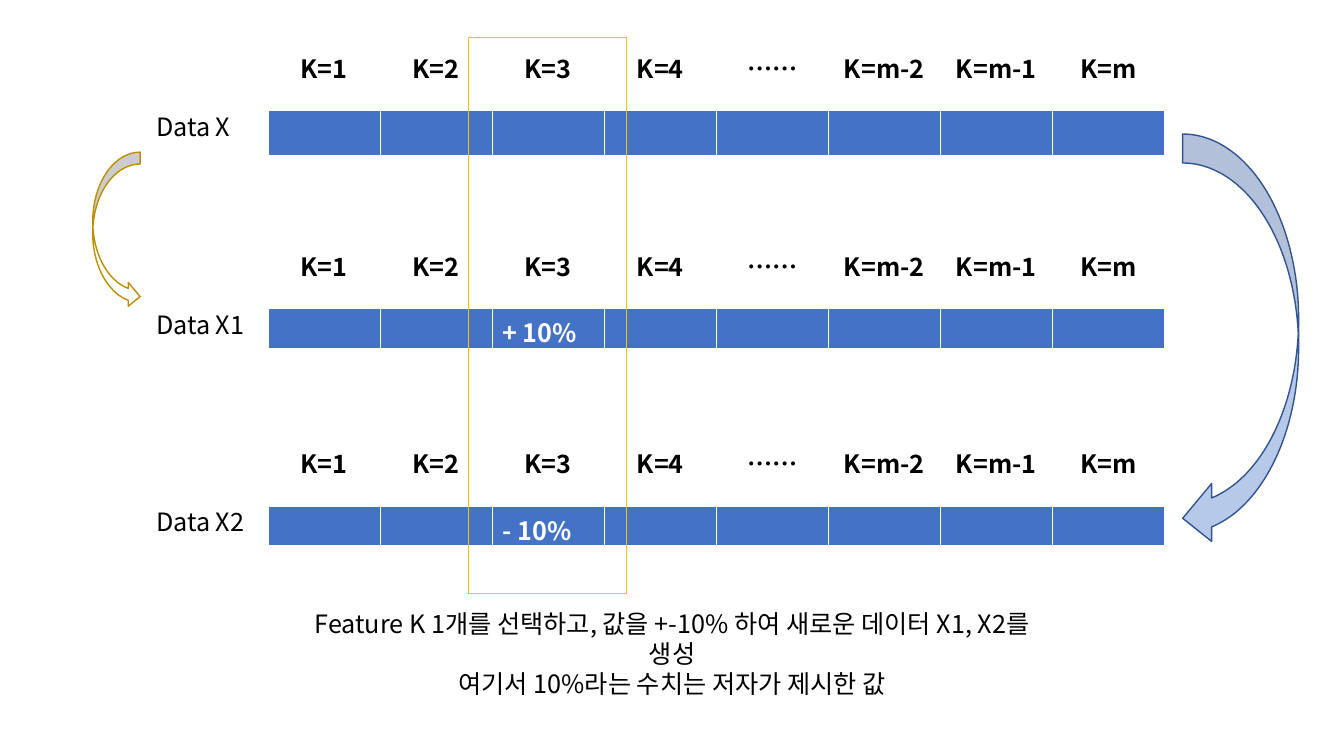
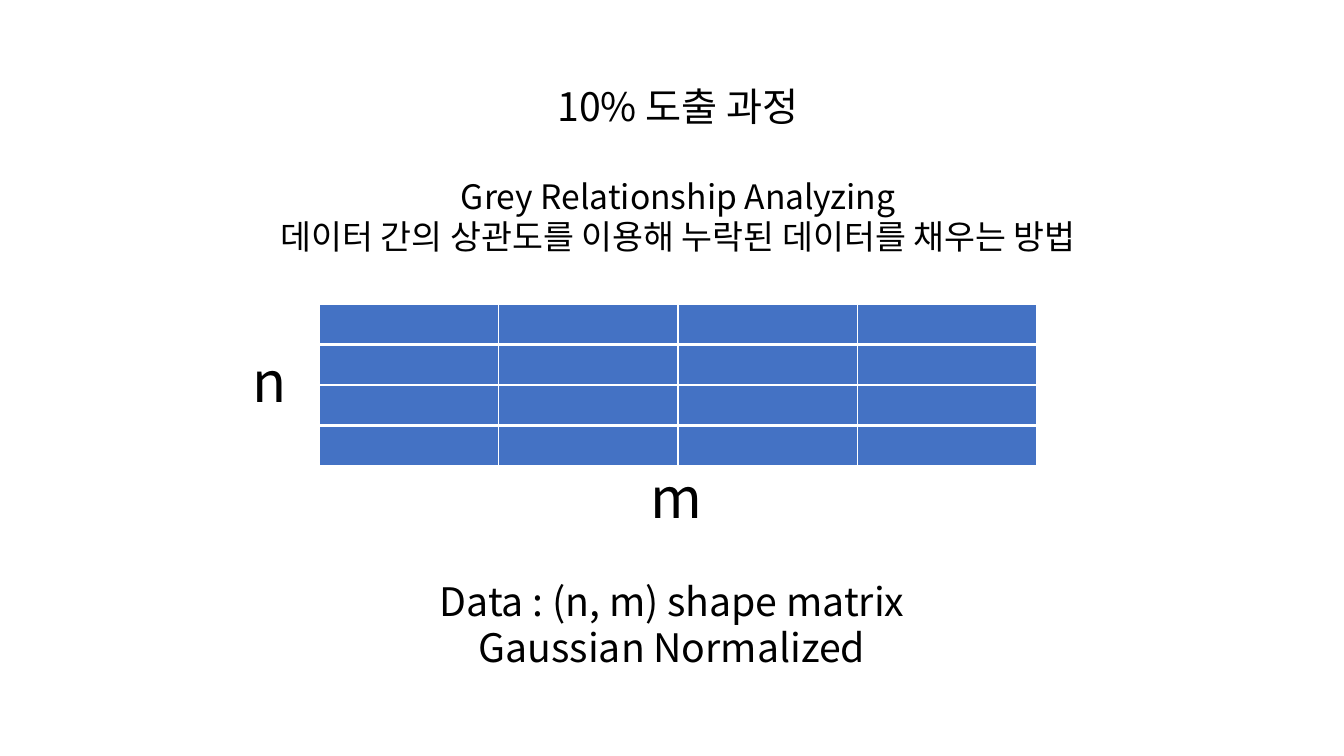
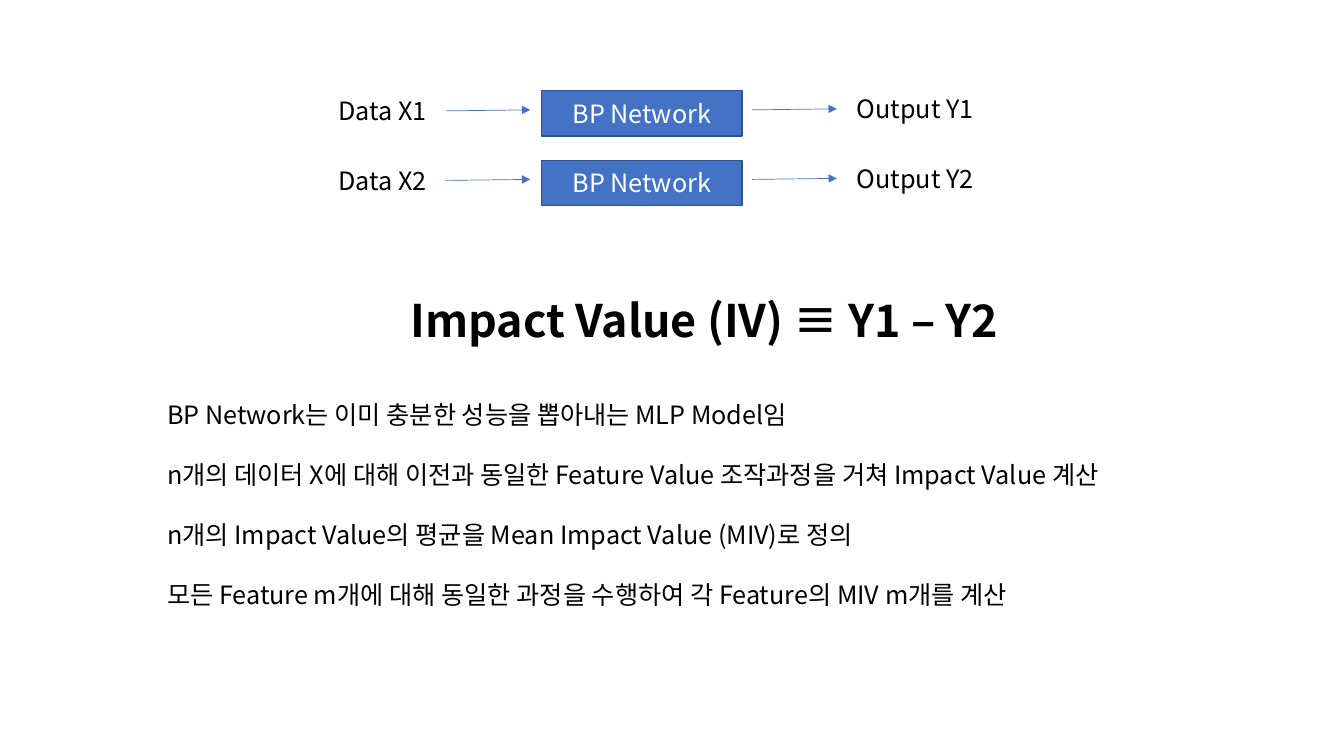
import pptx
import pptx.util
import pptx.dml.color
import pptx.enum.shapes
import pptx.enum.text
import pptx.oxml
import pptx.oxml.ns
import lxml.etree

Inches, Pt = pptx.util.Inches, pptx.util.Pt
SHAPE = pptx.enum.shapes.MSO_SHAPE
LEFT, CENTER = pptx.enum.text.PP_ALIGN.LEFT, pptx.enum.text.PP_ALIGN.CENTER

W, H = 13.33, 7.5
FONT = "Noto Sans CJK KR"
BLACK, WHITE = "000000", "FFFFFF"
BLUE, NAVY = "4472C4", "325491"
GOLD, BRONZE = "FFC000", "BD8E00"
LINE_RATIO = 1.19
FEATURES = ["K=1", "K=2", "K=3", "K=4", "……", "K=m-2", "K=m-1", "K=m"]


def rgb(value):
    return pptx.dml.color.RGBColor.from_string(value)


def child(parent, tag, **attrs):
    el = lxml.etree.SubElement(parent, pptx.oxml.ns.qn(tag))
    for name, value in attrs.items():
        el.set(name, str(value))
    return el


def write(p, content, size=18, color=BLACK, bold=False, align=LEFT, before=0, fixed=True):
    """Fill one paragraph with formatted text."""
    p.alignment = align
    if fixed:
        p.line_spacing = Pt(size * LINE_RATIO)
        p.space_before = Pt(before)
    r = p.add_run()
    r.text = content
    r.font.size, r.font.bold, r.font.name = Pt(size), bold, FONT
    r.font.color.rgb = rgb(color)


def text(slide, box, *paragraphs, **fmt):
    """Text box; a paragraph is a string or a (string, own format) pair."""
    sp = slide.shapes.add_textbox(*map(Inches, box))
    tf = sp.text_frame
    tf.word_wrap = True
    for i, item in enumerate(paragraphs):
        content, own = (item, {}) if isinstance(item, str) else item
        write(tf.paragraphs[0] if i == 0 else tf.add_paragraph(), content, **{**fmt, **own})


def shape(slide, kind, box, fill, line, alpha=None):
    sp = slide.shapes.add_shape(kind, *map(Inches, box))
    sp.shadow.inherit = False
    sp.fill.solid()
    sp.fill.fore_color.rgb = rgb(fill)
    if alpha is not None:
        color = sp._element.spPr.find(".//" + pptx.oxml.ns.qn("a:srgbClr"))
        child(color, "a:alpha", val=alpha * 1000)
    sp.line.color.rgb = rgb(line)
    sp.line.width = Pt(1)
    return sp


def line(slide, x1, y1, x2, y2, color, arrow=False):
    c = slide.shapes.add_connector(pptx.enum.shapes.MSO_CONNECTOR.STRAIGHT,
                                   *map(Inches, (x1, y1, x2, y2)))
    c.line.color.rgb = rgb(color)
    c.line.width = Pt(0.5)
    if arrow:
        child(c.line._get_or_add_ln(), "a:tailEnd", type="triangle")
    child(c._element.spPr, "a:effectLst")


def border(cell):
    """White cell edges: thin, but thick below."""
    tcPr = cell._tc.get_or_add_tcPr()
    for i, (side, width) in enumerate([("L", 1), ("R", 1), ("T", 1), ("B", 3)]):
        ln = child(tcPr, "a:ln" + side, w=Pt(width))
        child(child(ln, "a:solidFill"), "a:srgbClr", val=WHITE)
        tcPr.insert(i, ln)


def strip(slide, box, cols, labels=None, fill=None, **fmt):
    """Table of one row of equal cells; labels maps a column to its text."""
    table = slide.shapes.add_table(1, cols, *map(Inches, box)).table
    table.first_row = table.horz_banding = False
    for i, cell in enumerate(table.iter_cells()):
        cell.margin_bottom = 0
        if fill:
            cell.fill.solid()
            cell.fill.fore_color.rgb = rgb(fill)
            border(cell)
        else:
            cell.fill.background()
        label = (labels or {}).get(i)
        if label:
            write(cell.text_frame.paragraphs[0], label, bold=True, fixed=False, **fmt)


def data_row(slide, x, y, w, name, bar_height, change=None):
    """Feature labels over a bar of cells, with the name at the left."""
    n = len(FEATURES)
    strip(slide, (x, y + 0.66, w, bar_height), n, {2: change}, BLUE, color=WHITE)
    strip(slide, (x, y, w, 0.41), n, dict(enumerate(FEATURES)), align=CENTER)
    text(slide, (x - 1.21, y + 0.62, 1.15, 0.4), name)


def frame(slide, x, y, w, h):
    """Outline of the selected feature."""
    for dx in (0, w):
        line(slide, x + dx, y, x + dx, y + h, GOLD)
    for dy in (0, h):
        line(slide, x, y + dy, x + w, y + dy, GOLD)


def network_row(slide, x, y, number):
    """Data, network and output, joined by arrows."""
    text(slide, (x, y, 1.15, 0.4), f"Data X{number}")
    sp = shape(slide, SHAPE.FLOWCHART_PROCESS, (x + 2.11, y, 1.99, 0.45), BLUE, NAVY)
    sp.text_frame.vertical_anchor = pptx.enum.text.MSO_ANCHOR.MIDDLE
    write(sp.text_frame.paragraphs[0], "BP Network", color=WHITE, align=CENTER)
    text(slide, (x + 5.14, y - 0.02, 1.56, 0.4), f"Output Y{number}")
    for dx, dy in ((1.16, 0.2), (4.2, 0.19)):
        line(slide, x + dx, y + dy, x + dx + 0.84, y + dy - 0.01, BLUE, arrow=True)


def feature_slide(slide):
    rows = [("Data X", 0.46, None), ("Data X1", 0.41, "+ 10%"), ("Data X2", 0.41, "- 10%")]
    for i, (name, height, change) in enumerate(rows):
        data_row(slide, 2.66, 0.44 + 1.96 * i, 8.89, name, height, change)
    text(slide, (2.77, 5.99, 7.79, 0.71),
         "Feature K 1개를 선택하고, 값을 +-10% 하여 새로운 데이터 X1, X2를 생성",
         "여기서 10%라는 수치는 저자가 제시한 값", align=CENTER)
    shape(slide, SHAPE.CURVED_RIGHT_ARROW, (0.92, 1.51, 0.47, 1.55), WHITE, BRONZE)
    shape(slide, SHAPE.CURVED_LEFT_ARROW, (11.73, 1.33, 1.15, 4.1), BLUE, NAVY, alpha=38)
    frame(slide, 4.65, 0.37, 1.56, 5.52)


def matrix_slide(slide):
    text(slide, (1.67, 0.77, 10.11, 1.85),
         ("10% 도출 과정", {"size": 28}),
         ("Grey Relationship Analyzing", {"before": 28 * LINE_RATIO}),
         "데이터 간의 상관도를 이용해 누락된 데이터를 채우는 방법",
         size=24, align=CENTER)
    # One strip for each sample of the matrix
    pitch = (4.23 - 3.02) / 3
    for i in range(4):
        strip(slide, (3.17, 3.02 + pitch * i, 7.11, 0.4), 4, fill=BLUE)
    text(slide, (1.61, 5.68, 10.11, 1.04), "Data : (n, m) shape matrix",
         "Gaussian Normalized", size=28, align=CENTER)
    for x, y, name in ((2.41, 3.39, "n"), (6.35, 4.54, "m")):
        text(slide, (x, y, 0.75, 0.77), name, size=40)


def impact_slide(slide):
    for i in range(2):
        network_row(slide, 3.26, 0.9 + 0.69 * i, i + 1)
    text(slide, (1.56, 2.86, 10.86, 3.6),
         ("Impact Value (IV) ≡ Y1 – Y2",
          {"size": 32, "bold": True, "align": CENTER, "before": 0}),
         ("BP Network는 이미 충분한 성능을 뽑아내는 MLP Model임",
          {"before": 32 * LINE_RATIO}),
         "n개의 데이터 X에 대해 이전과 동일한 Feature Value 조작과정을 거쳐 Impact Value 계산",
         "n개의 Impact Value의 평균을 Mean Impact Value (MIV)로 정의",
         "모든 Feature m개에 대해 동일한 과정을 수행하여 각 Feature의 MIV m개를 계산",
         before=18 * LINE_RATIO)


def main():
    prs = pptx.Presentation()
    prs.slide_width, prs.slide_height = Inches(W), Inches(H)
    for build in (feature_slide, matrix_slide, impact_slide):
        build(prs.slides.add_slide(prs.slide_layouts[6]))
    prs.save("out.pptx")


if __name__ == "__main__":
    main()
